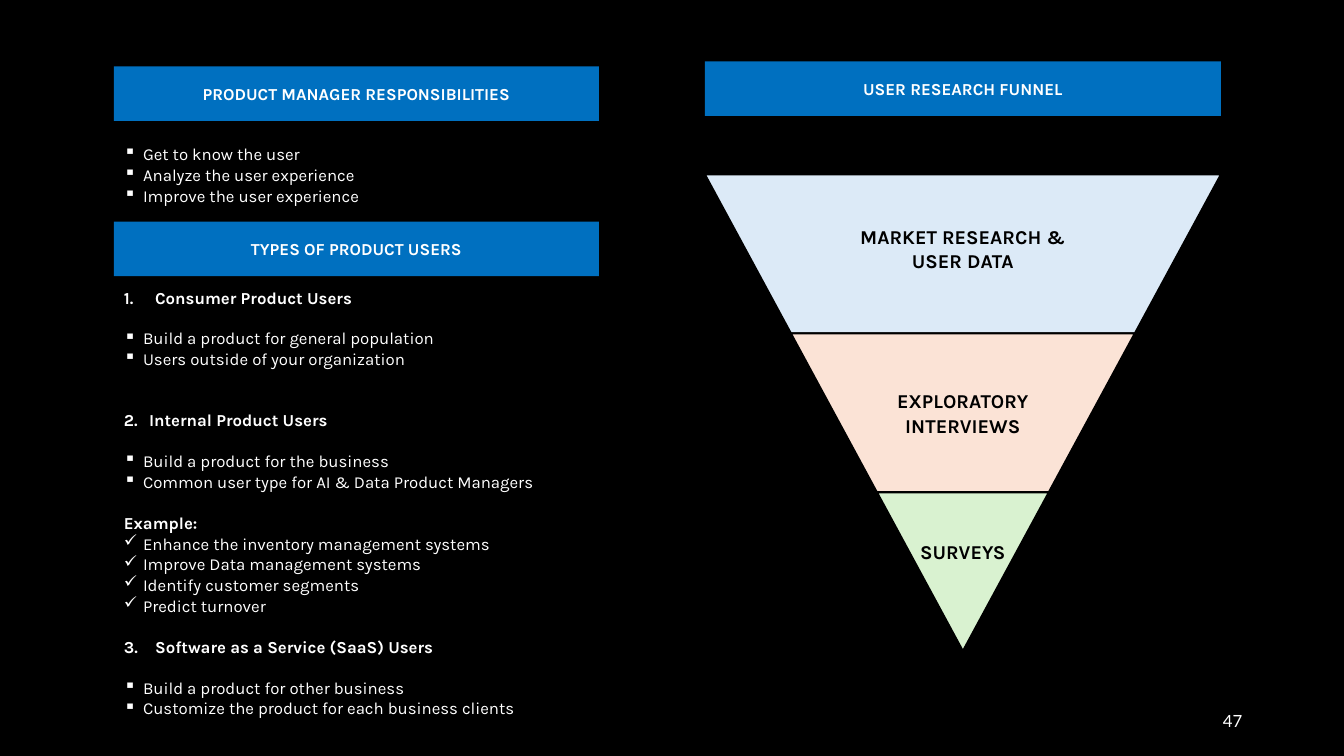
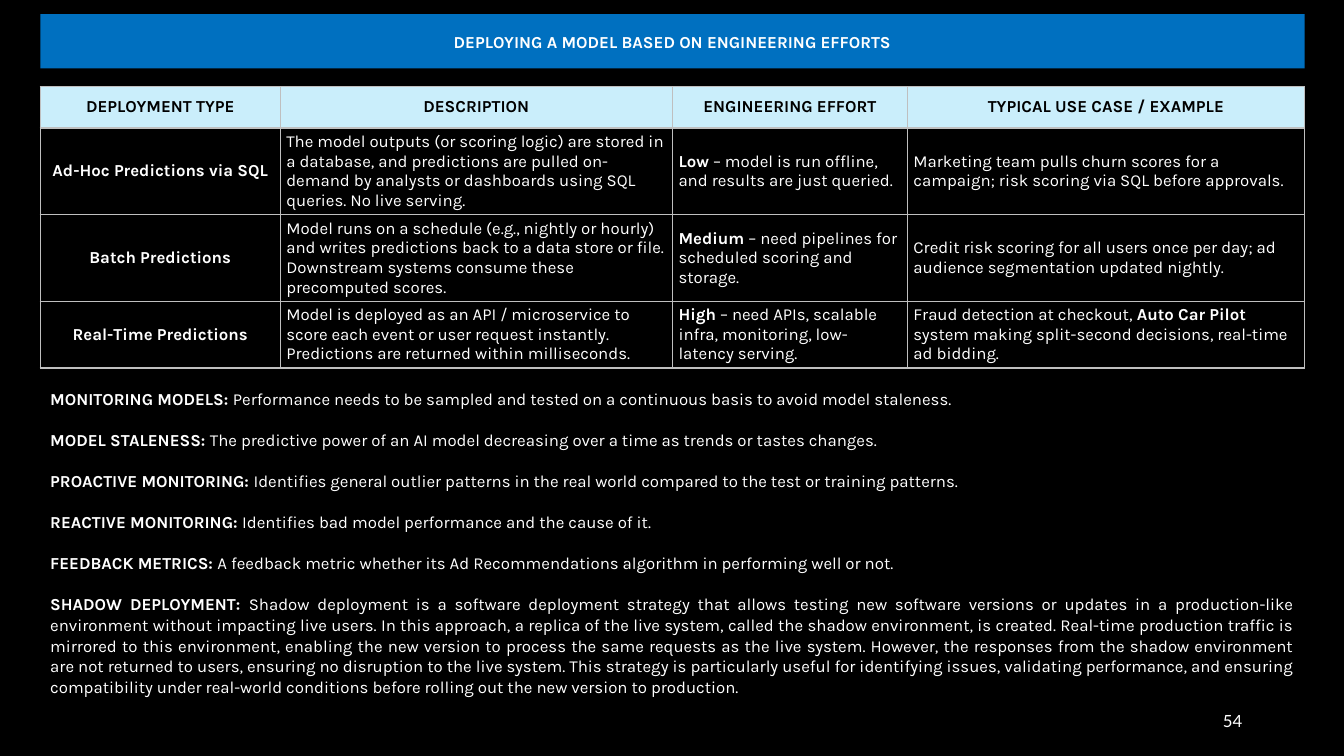
"""Build two study slides: product users with a research funnel, and model deployment."""
import dataclasses

import lxml.etree
import pptx
import pptx.dml.color
import pptx.enum.shapes
import pptx.enum.text
import pptx.oxml.ns
import pptx.util

Inches = pptx.util.Inches
Pt = pptx.util.Pt
qn = pptx.oxml.ns.qn
Color = pptx.dml.color.RGBColor.from_string
Align = pptx.enum.text.PP_ALIGN
Middle = pptx.enum.text.MSO_ANCHOR.MIDDLE


@dataclasses.dataclass(frozen=True)
class Theme:
    black: str = "000000"
    white: str = "FFFFFF"
    band: str = "0070C0"
    table_header: str = "CAEEFB"
    table_border: str = "BFBFBF"
    tiers: tuple = ("DCEAF7", "FBE3D6", "D9F2D0")
    font: str = "Karla"
    number_font: str = "Lato"
    body_size: int = 12
    tier_size: int = 14
    line_spacing: float = 1.03
    blank_line: float = 1.2
    band_height: float = 0.54


theme = Theme()


def write(paragraph, text, color=theme.white, size=theme.body_size, font=theme.font, align=Align.LEFT):
    """Write text whose parts between asterisks are bold; a newline breaks the line."""
    paragraph.alignment = align
    for index, part in enumerate(text.split("*")):
        for line_index, line in enumerate(part.split("\n")):
            if line_index:
                paragraph.add_line_break()
            if line:
                run = paragraph.add_run()
                run.text = line
                run.font.name = font
                run.font.size = Pt(size)
                run.font.bold = index % 2 == 1
                run.font.color.rgb = Color(color)


def add_text(slide, box, lines, fill=None, size=theme.body_size, **style):
    """Add a box of (marker, text, blank lines before, indent) paragraphs."""
    place = [Inches(length) for length in box]
    if fill:
        shape = slide.shapes.add_shape(pptx.enum.shapes.MSO_SHAPE.RECTANGLE, *place)
        shape.shadow.inherit = False
        shape.fill.solid()
        shape.fill.fore_color.rgb = Color(fill)
        shape.line.fill.background()
    else:
        shape = slide.shapes.add_textbox(*place)
    frame = shape.text_frame
    frame.word_wrap = True
    frame.vertical_anchor = Middle
    for index, (marker, text, gap, indent) in enumerate(lines):
        paragraph = frame.paragraphs[0] if index == 0 else frame.add_paragraph()
        paragraph.line_spacing = theme.line_spacing
        if gap:
            paragraph.space_before = Pt(gap * size * theme.blank_line)
        if marker:
            properties = paragraph._p.get_or_add_pPr()
            properties.set("marL", str(Inches(indent)))
            properties.set("indent", str(-Inches(indent)))
            if isinstance(marker, int):
                bullet = lxml.etree.SubElement(properties, qn("a:buAutoNum"), type="arabicPeriod")
                bullet.set("startAt", str(marker))
            else:
                lxml.etree.SubElement(properties, qn("a:buChar"), char=marker)
        write(paragraph, text, size=size, **style)


presentation = pptx.Presentation()
presentation.slide_width = Inches(13.33)
presentation.slide_height = Inches(7.5)

responsibilities = [
    ("▪", "Get to know the user", 0, 0.19),
    ("▪", "Analyze the user experience", 0, 0.19),
    ("▪", "Improve the user experience", 0, 0.19),
]
user_types = [
    (1, "*Consumer Product Users*", 0, 0.31),
    ("▪", "Build a product for general population", 1, 0.19),
    ("▪", "Users outside of your organization", 0, 0.19),
    (2, "*Internal Product Users*", 2, 0.25),
    ("▪", "Build a product for the business", 1, 0.19),
    ("▪", "Common user type for AI & Data Product Managers", 0, 0.19),
    (None, "*Example:*", 1, 0),
    ("✓", "Enhance the inventory management systems", 0, 0.19),
    ("✓", "Improve Data management systems", 0, 0.19),
    ("✓", "Identify customer segments", 0, 0.19),
    ("✓", "Predict turnover", 0, 0.19),
    (3, "*Software as a Service (SaaS) Users*", 1, 0.31),
    ("▪", "Build a product for other business", 1, 0.19),
    ("▪", "Customize the product for each business clients", 0, 0.19),
]
definitions = [
    "*MONITORING MODELS: *Performance needs to be sampled and tested on a continuous basis to avoid model staleness.",
    "*MODEL STALENESS: *The predictive power of an AI model decreasing over a time as trends or tastes changes.",
    "*PROACTIVE MONITORING: *Identifies general outlier patterns in the real world compared to the test or training patterns.",
    "*REACTIVE MONITORING: *Identifies bad model performance and the cause of it.",
    "*FEEDBACK METRICS: *A feedback metric whether its Ad Recommendations algorithm in performing well or not.",
    "*SHADOW DEPLOYMENT: *Shadow deployment is a software deployment strategy that allows testing new software "
    "versions or updates in a production-like environment without impacting live users. In this approach, a replica "
    "of the live system, called the shadow environment, is created. Real-time production traffic is mirrored to this "
    "environment, enabling the new version to process the same requests as the live system. However, the responses "
    "from the shadow environment are not returned to users, ensuring no disruption to the live system. This strategy "
    "is particularly useful for identifying issues, validating performance, and ensuring compatibility under "
    "real-world conditions before rolling out the new version to production.",
]
pages = [
    ("47", [
        (1.13, 0.66, 4.81, "PRODUCT MANAGER RESPONSIBILITIES"),
        (1.13, 2.2, 4.81, "TYPES OF PRODUCT USERS"),
        (6.99, 0.61, 5.12, "USER RESEARCH FUNNEL"),
    ]),
    ("54", [(0.4, 0.14, 12.54, "DEPLOYING A MODEL BASED ON ENGINEERING EFFORTS")]),
]

slides = []
for number, bands in pages:
    slide = presentation.slides.add_slide(presentation.slide_layouts[6])
    slide.background.fill.solid()
    slide.background.fill.fore_color.rgb = Color(theme.black)
    for left, top, width, title in bands:
        add_text(slide, (left, top, width, theme.band_height), [(None, f"*{title}*", 0, 0)],
                 fill=theme.band, align=Align.CENTER)
    add_text(slide, (9.42, 6.95, 3, 0.4), [(None, number, 0, 0)], font=theme.number_font, align=Align.RIGHT)
    slides.append(slide)
users_slide, deployment_slide = slides

add_text(users_slide, (1.13, 1.4, 4.81, 0.66), responsibilities, align=Align.JUSTIFY)
add_text(users_slide, (1.13, 2.88, 4.81, 4.21), user_types)

funnel_center, funnel_top, funnel_width, funnel_height = 9.55, 1.73, 5.12, 4.73
tier_labels = [
    ("MARKET RESEARCH &\nUSER DATA", 2.26, 2.48),
    ("EXPLORATORY INTERVIEWS", 3.89, 1.88),
    ("SURVEYS", 5.26, 1.2),
]
tier_count = len(tier_labels)
tier_height = funnel_height / tier_count
for index, (label, label_top, label_width) in enumerate(tier_labels):
    upper_half = funnel_width / 2 * (tier_count - index) / tier_count
    lower_half = funnel_width / 2 * (tier_count - index - 1) / tier_count
    top = funnel_top + index * tier_height
    bottom = top + tier_height
    corners = [
        (funnel_center - upper_half, top),
        (funnel_center + upper_half, top),
        (funnel_center + lower_half, bottom),
    ]
    if lower_half:
        corners.append((funnel_center - lower_half, bottom))
    points = [(Inches(x), Inches(y)) for x, y in corners]
    builder = users_slide.shapes.build_freeform(*points[0])
    builder.add_line_segments(points[1:], close=True)
    tier = builder.convert_to_shape()
    tier.shadow.inherit = False
    tier.fill.solid()
    tier.fill.fore_color.rgb = Color(theme.tiers[index])
    tier.line.color.rgb = Color(theme.black)
    tier.line.width = Pt(1.5)
    add_text(users_slide, (funnel_center - label_width / 2, label_top, label_width, 0.41),
             [(None, f"*{label}*", 0, 0)], size=theme.tier_size, color=theme.black, align=Align.CENTER)

deployment_rows = [
    ["*DEPLOYMENT TYPE*", "*DESCRIPTION*", "*ENGINEERING EFFORT*", "*TYPICAL USE CASE / EXAMPLE*"],
    [
        "*Ad-Hoc Predictions via SQL*",
        "The model outputs (or scoring logic) are stored in a database, and predictions are pulled on-demand "
        "by analysts or dashboards using SQL queries. No live serving.",
        "*Low* – model is run offline, and results are just queried.",
        "Marketing team pulls churn scores for a campaign; risk scoring via SQL before approvals.",
    ],
    [
        "*Batch Predictions*",
        "Model runs on a schedule (e.g., nightly or hourly) and writes predictions back to a data store or file. "
        "Downstream systems consume these precomputed scores.",
        "*Medium* – need pipelines for scheduled scoring and storage.",
        "Credit risk scoring for all users once per day; ad audience segmentation updated nightly.",
    ],
    [
        "*Real-Time Predictions*",
        "Model is deployed as an API / microservice to score each event or user request instantly. "
        "Predictions are returned within milliseconds.",
        "*High* – need APIs, scalable infra, monitoring, low-latency serving.",
        "Fraud detection at checkout, *Auto Car Pilot* system making split-second decisions, real-time ad bidding.",
    ],
]
column_widths = [2.38, 3.89, 2.33, 3.94]
row_heights = [0.41, 0.64, 0.64, 0.5]
table = deployment_slide.shapes.add_table(
    len(row_heights), len(column_widths), Inches(0.4), Inches(0.86),
    Inches(sum(column_widths)), Inches(sum(row_heights))).table
table.first_row = False
table.horz_banding = False
for column, width in zip(table.columns, column_widths):
    column.width = Inches(width)
for row_index, (row, height, texts) in enumerate(zip(table.rows, row_heights, deployment_rows)):
    row.height = Inches(height)
    is_header = row_index == 0
    for column_index, (cell, text) in enumerate(zip(row.cells, texts)):
        cell.vertical_anchor = Middle
        cell.margin_left = cell.margin_right = Inches(0.06)
        cell.margin_top = cell.margin_bottom = Inches(0.03)
        properties = cell._tc.get_or_add_tcPr()
        for side in ("L", "R", "T", "B"):
            border = lxml.etree.SubElement(properties, qn(f"a:ln{side}"), w=str(Pt(1)))
            border_fill = lxml.etree.SubElement(border, qn("a:solidFill"))
            lxml.etree.SubElement(border_fill, qn("a:srgbClr"), val=theme.table_border)
        if is_header:
            cell.fill.solid()
            cell.fill.fore_color.rgb = Color(theme.table_header)
        else:
            cell.fill.background()
        centered = is_header or column_index == 0
        write(cell.text_frame.paragraphs[0], text,
              color=theme.black if is_header else theme.white,
              align=Align.CENTER if centered else Align.LEFT)

add_text(deployment_slide, (0.4, 3.82, 12.54, 3.13),
         [(None, text, min(index, 1), 0) for index, text in enumerate(definitions)], align=Align.JUSTIFY)

presentation.save("out.pptx")
